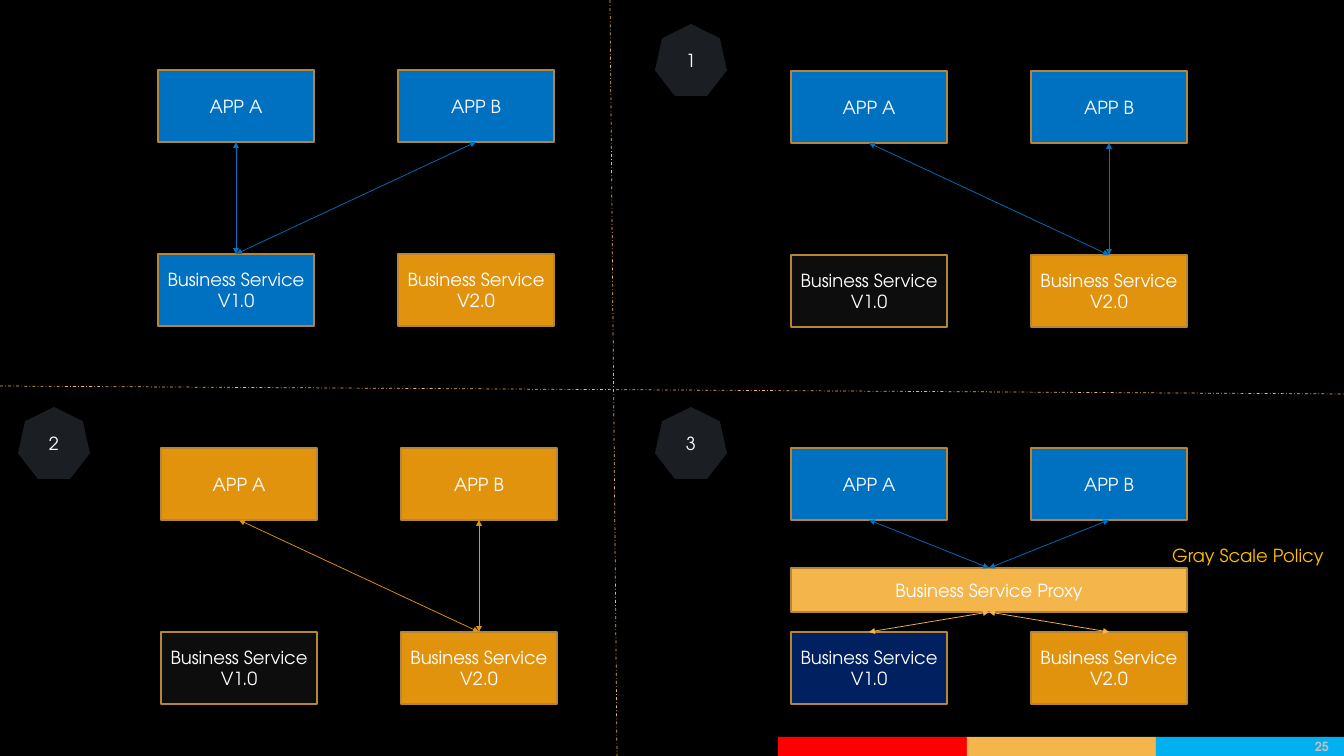
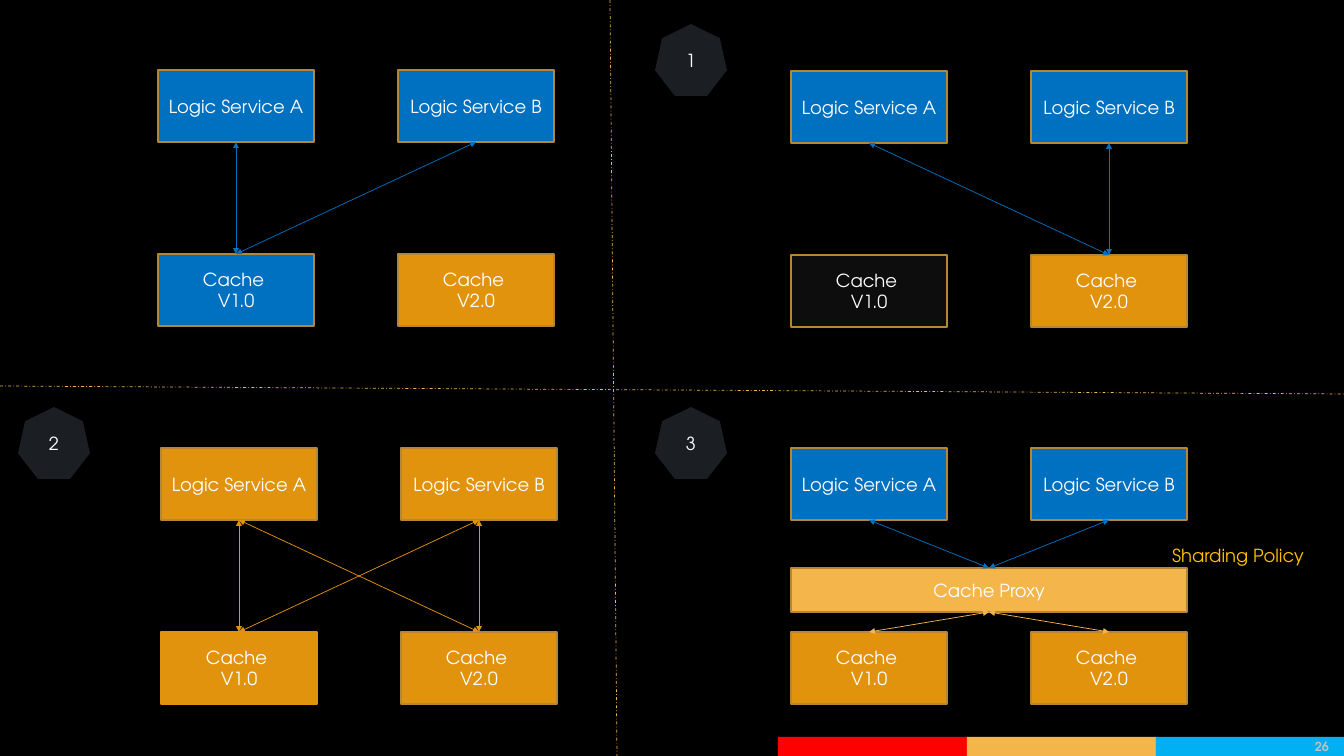
from itertools import pairwise

from pptx import Presentation
from pptx.dml.color import RGBColor
from pptx.enum.dml import MSO_LINE
from pptx.enum.shapes import MSO_CONNECTOR, MSO_SHAPE
from pptx.enum.text import MSO_ANCHOR, MSO_AUTO_SIZE, PP_ALIGN
from pptx.oxml.ns import qn
from pptx.oxml.xmlchemy import OxmlElement
from pptx.util import Pt

PX = 12700  # 72 px to the inch
FONT = "TeX Gyre Adventor"
BLACK = RGBColor(0x00, 0x00, 0x00)
WHITE = RGBColor(0xFF, 0xFF, 0xFF)
BLUE = RGBColor(0x00, 0x70, 0xC0)
NAVY = RGBColor(0x00, 0x20, 0x60)
SKY = RGBColor(0x00, 0xB0, 0xF0)
RED = RGBColor(0xFF, 0x00, 0x00)
ORANGE = RGBColor(0xE1, 0x93, 0x0E)
SAND = RGBColor(0xF4, 0xB5, 0x4B)
BRONZE = RGBColor(0xB5, 0x86, 0x37)
GOLD = RGBColor(0xFF, 0xC0, 0x00)
COAL = RGBColor(0x0D, 0x0D, 0x0D)
SLATE = RGBColor(0x1B, 0x1E, 0x23)
SILVER = RGBColor(0xBF, 0xBF, 0xBF)

BOX_W, BOX_H = 156, 72
STEP_X, STEP_Y = 240, 184
PROXY_Y, PROXY_H = 120, 44
BADGE = 72


def write(sp, text, size=18, color=WHITE, bold=False, align=PP_ALIGN.CENTER,
          anchor=MSO_ANCHOR.MIDDLE, wrap=True):
    tf = sp.text_frame
    tf.word_wrap = wrap
    tf.vertical_anchor = anchor
    tf.text = text
    for p in tf.paragraphs:
        p.alignment = align
        for r in p.runs:
            r.font.name, r.font.size, r.font.bold = FONT, Pt(size), bold
            r.font.color.rgb = color


def draw_line(shapes, ends, color, arrows=False):
    cxn = shapes.add_connector(MSO_CONNECTOR.STRAIGHT, *ends)
    cxn.line.color.rgb = color
    cxn.line.width = Pt(0.75)
    spPr = cxn.element.spPr
    if arrows:
        for tag in ("a:headEnd", "a:tailEnd"):
            end = OxmlElement(tag)
            end.set("type", "triangle")
            spPr.find(qn("a:ln")).append(end)
    else:
        cxn.line.dash_style = MSO_LINE.DASH_DOT
    spPr.append(OxmlElement("a:effectLst"))
    return cxn


# Box numbers used in the links: upper pair, lower pair, proxy
A, B, V1, V2, PROXY = range(5)
TO_V1 = [(A, V1, BLUE), (B, V1, BLUE)]
TO_V2 = [(A, V2, BLUE), (B, V2, BLUE)]
SWITCHED = [(A, V2, ORANGE), (B, V2, ORANGE)]
CROSSED = SWITCHED + [(B, V1, ORANGE), (A, V1, ORANGE)]
VIA_PROXY = [(A, PROXY, BLUE), (B, PROXY, BLUE),
             (PROXY, V1, SAND), (PROXY, V2, SAND)]

# Per slide: number, wording, then V1 fill, V1 edge and links of panels 2 and 3
SLIDES = [
    dict(number="25", client="APP", service="Business Service ",
         proxy="Business Service Proxy", policy="Gray Scale Policy",
         policy_w=168, v1=COAL, v1_edge=BRONZE, links=SWITCHED, v1_proxied=NAVY),
    dict(number="26", client="Logic Service", service="Cache \n",
         proxy="Cache Proxy", policy="Sharding Policy",
         policy_w=148, v1=ORANGE, v1_edge=ORANGE, links=CROSSED,
         v1_proxied=ORANGE),
]

prs = Presentation()
prs.slide_width, prs.slide_height = 1344 * PX, 756 * PX
master = prs.slide_master
master.background.fill.solid()
master.background.fill.fore_color.rgb = BLACK
slides = [prs.slides.add_slide(prs.slide_layouts[6]) for _ in SLIDES]

# Footer bands, moved to the master so that all slides share them
edges = pairwise((778, 967, 1156, 1344))
for i, ((left, right), color) in enumerate(zip(edges, (RED, SAND, SKY))):
    sp = slides[0].shapes.add_shape(
        MSO_SHAPE.RECTANGLE, left * PX, 737 * PX, (right - left) * PX, 19 * PX)
    sp.shadow.inherit = False
    sp.fill.solid()
    sp.fill.fore_color.rgb = color
    sp.line.fill.background()
    sp.element.nvSpPr.cNvPr.set("id", str(101 + i))
    master.shapes.element.append(sp.element)

for s, d in zip(slides, SLIDES):
    # Dashed dividers
    for ends in ((0, 386, 1344, 394), (610, 0, 617, 756)):
        draw_line(s.shapes, [v * PX for v in ends], SAND)

    # Panels: left, top, client fill, V1 fill, V1 edge, links, badge
    panels = [
        (158, 70, BLUE, BLUE, BRONZE, TO_V1, None),
        (791, 71, BLUE, COAL, BRONZE, TO_V2, (655, 24)),
        (161, 448, ORANGE, d["v1"], d["v1_edge"], d["links"], (18, 407)),
        (791, 448, BLUE, d["v1_proxied"], BRONZE, VIA_PROXY, (655, 407)),
    ]
    for n, (x, y, client, v1, v1_edge, links, badge) in enumerate(panels):
        shapes = s.shapes.add_group_shape().shapes
        x2, y2 = x + STEP_X, y + STEP_Y
        items = [
            (x, y, BOX_W, BOX_H, client, BRONZE, d["client"] + " A"),
            (x2, y, BOX_W, BOX_H, client, BRONZE, d["client"] + " B"),
            (x, y2, BOX_W, BOX_H, v1, v1_edge, d["service"] + "V1.0"),
            (x2, y2, BOX_W, BOX_H, ORANGE, BRONZE, d["service"] + "V2.0"),
        ]
        if links is VIA_PROXY:
            items.append((x, y + PROXY_Y, STEP_X + BOX_W, PROXY_H, SAND, BRONZE,
                          d["proxy"]))
        if badge:
            items.append((*badge, BADGE, BADGE, SLATE, None, str(n)))

        # Boxes and numbered badge
        boxes = []
        for left, top, w, h, fill, edge, text in items:
            kind = MSO_SHAPE.RECTANGLE if edge else MSO_SHAPE.HEPTAGON
            sp = shapes.add_shape(kind, left * PX, top * PX, w * PX, h * PX)
            sp.shadow.inherit = False
            sp.fill.solid()
            sp.fill.fore_color.rgb = fill
            if edge:
                sp.line.color.rgb = edge
                sp.line.width = Pt(1.5)
            else:
                sp.line.fill.background()
            write(sp, text)
            boxes.append(sp)

        # Two-way arrows from bottom side to top side
        for start, end, color in links:
            a, b = boxes[start], boxes[end]
            ends = (a.left + a.width // 2, a.top + a.height,
                    b.left + b.width // 2, b.top)
            cxn = draw_line(shapes, ends, color, arrows=True)
            cxn.begin_connect(a, 2)
            cxn.end_connect(b, 0)

    # Policy label
    sp = s.shapes.add_textbox(1165 * PX, 541 * PX, d["policy_w"] * PX, 29 * PX)
    write(sp, d["policy"], color=GOLD, align=PP_ALIGN.LEFT,
          anchor=MSO_ANCHOR.TOP, wrap=False)
    sp.text_frame.auto_size = MSO_AUTO_SIZE.SHAPE_TO_FIT_TEXT

    # Slide number
    sp = s.shapes.add_textbox(1276 * PX, 737 * PX, 60 * PX, 19 * PX)
    write(sp, d["number"], size=12.6, color=SILVER, bold=True,
          align=PP_ALIGN.RIGHT)

prs.save("out.pptx")
